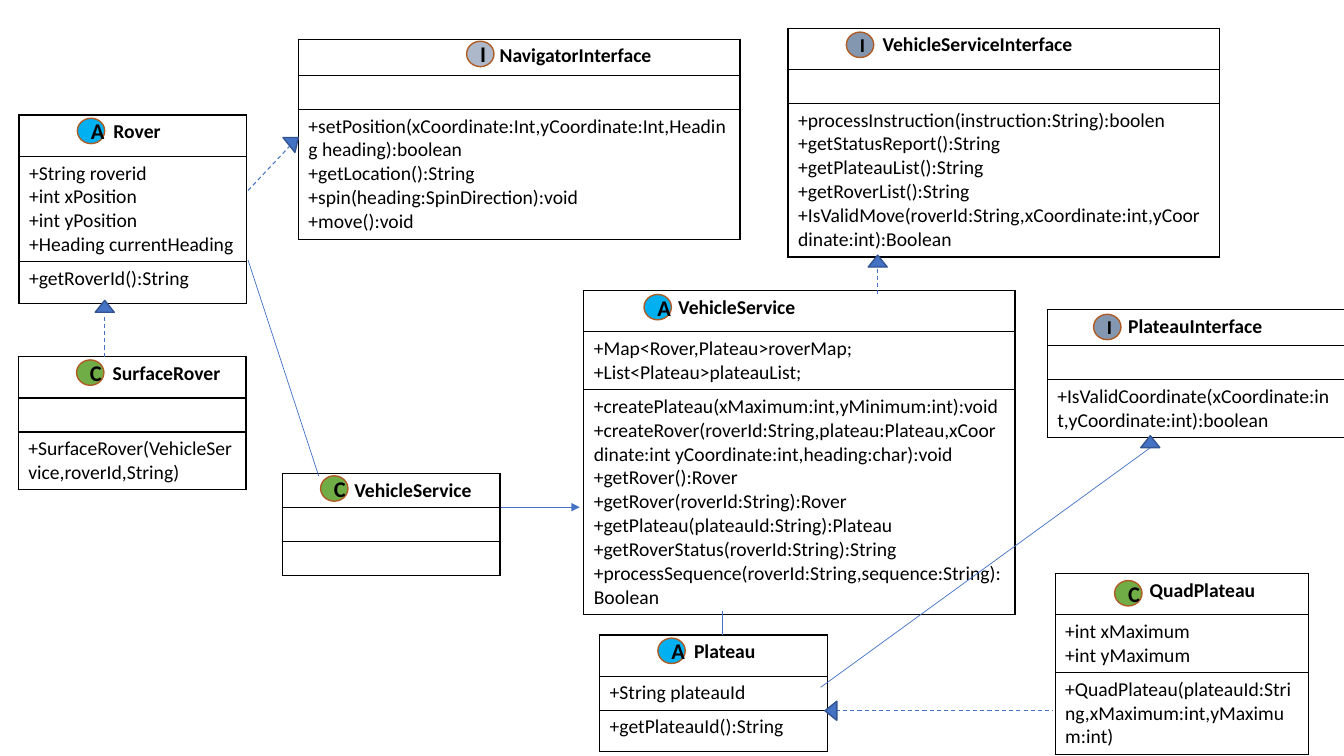
from dataclasses import dataclass

from lxml.etree import SubElement
from pptx import Presentation
from pptx.dml.color import RGBColor
from pptx.enum.dml import MSO_LINE
from pptx.enum.shapes import MSO_CONNECTOR, MSO_SHAPE
from pptx.enum.text import MSO_ANCHOR, PP_ALIGN
from pptx.oxml.ns import qn
from pptx.util import Cm, Pt


@dataclass(frozen=True)
class Theme:
    font: str = "Calibri"
    ink: str = "000000"
    abstract: str = "00B0F0"
    concrete: str = "70AD47"
    interface: str = "8497B0"
    navigator: str = "ADB9CA"
    badge_edge: str = "AF5C24"
    relation: str = "4472C4"
    arrow_edge: str = "325491"
    body_size: int = 14
    badge_size: int = 16


THEME = Theme()
BADGE_WIDTH, BADGE_HEIGHT = 0.69, 0.64
ARROW_WIDTH, ARROW_HEIGHT = 0.48, 0.3


def write(frame, text, size=THEME.body_size, bold=False, align=PP_ALIGN.LEFT):
    for index, line in enumerate(text.split("\n")):
        paragraph = frame.paragraphs[0] if index == 0 else frame.add_paragraph()
        paragraph.alignment = align
        if not line:
            SubElement(paragraph._p, qn("a:endParaRPr"), sz=str(size * 100))
            continue
        run = paragraph.add_run()
        run.text = line
        run.font.name = THEME.font
        run.font.size = Pt(size)
        run.font.bold = bold
        run.font.color.rgb = RGBColor.from_string(THEME.ink)


def paint(shape, fill, edge):
    shape.shadow.inherit = False
    shape.fill.solid()
    shape.fill.fore_color.rgb = RGBColor.from_string(fill)
    shape.line.color.rgb = RGBColor.from_string(edge)
    shape.line.width = Pt(1)


def outline(cell):
    properties = cell._tc.get_or_add_tcPr()
    for side in ("lnL", "lnR", "lnT", "lnB"):
        border = SubElement(properties, qn(f"a:{side}"), w=str(Pt(1)))
        solid = SubElement(border, qn("a:solidFill"))
        SubElement(solid, qn("a:srgbClr"), val=THEME.ink)
    cell.fill.background()


def class_badge(slide, left, top, letter, color, size):
    badge = slide.shapes.add_shape(
        MSO_SHAPE.FLOWCHART_CONNECTOR,
        Cm(left), Cm(top), Cm(BADGE_WIDTH), Cm(BADGE_HEIGHT))
    paint(badge, color, THEME.badge_edge)
    badge.text_frame.vertical_anchor = MSO_ANCHOR.MIDDLE
    write(badge.text_frame, letter, size=size, bold=True, align=PP_ALIGN.CENTER)


def class_box(slide, box, heights, name, fields, methods, letter, color,
              indent=2.38, badge=(1.47, 0.08), letter_size=THEME.badge_size):
    left, top, width = box
    members = slide.shapes.add_table(
        3, 1, Cm(left), Cm(top), Cm(width), Cm(sum(heights))).table
    members.first_row = members.horz_banding = False
    members.columns[0].width = Cm(width)
    for index, (height, text) in enumerate(zip(heights, (name, fields, methods))):
        members.rows[index].height = Cm(height)
        compartment = members.cell(index, 0)
        if index == 0:
            compartment.margin_left = Cm(indent)
            compartment.margin_right = Cm(0)
        write(compartment.text_frame, text, bold=index == 0)
        outline(compartment)
    class_badge(slide, left + badge[0], top + badge[1], letter, color, letter_size)


def relation(slide, start, end, dashed=False, pointed=False, head=None, turn=0):
    link = slide.shapes.add_connector(
        MSO_CONNECTOR.STRAIGHT, *(Cm(value) for value in (*start, *end)))
    link.line.color.rgb = RGBColor.from_string(THEME.relation)
    link.line.width = Pt(0.75 if dashed else 0.5)
    if dashed:
        link.line.dash_style = MSO_LINE.DASH
    if pointed:
        SubElement(link.line._get_or_add_ln(), qn("a:tailEnd"), type="triangle")
    SubElement(link._element.spPr, qn("a:effectLst"))
    if head:
        arrow = slide.shapes.add_shape(
            MSO_SHAPE.ISOSCELES_TRIANGLE,
            Cm(head[0] - ARROW_WIDTH / 2), Cm(head[1] - ARROW_HEIGHT / 2),
            Cm(ARROW_WIDTH), Cm(ARROW_HEIGHT))
        arrow.rotation = turn
        paint(arrow, THEME.relation, THEME.arrow_edge)


def rover_classes(slide):
    class_box(slide, (7.52, 0.99, 11.13), (0.91, 0.85, 3.27), "NavigatorInterface", "",
              "+setPosition(xCoordinate:Int,yCoordinate:Int,Heading heading):boolean\n"
              "+getLocation():String\n+spin(heading:SpinDirection):void\n+move():void",
              "I", THEME.navigator, indent=5.07, badge=(4.24, 0.05))
    class_box(slide, (0.48, 2.9, 5.74), (1.04, 2.65, 1.04), "Rover",
              "+String roverid\n+int xPosition\n+int yPosition\n+Heading currentHeading",
              "+getRoverId():String", "A", THEME.abstract)
    class_box(slide, (0.46, 8.99, 5.74), (1.04, 0.85, 1.45), "SurfaceRover", "",
              "+SurfaceRover(VehicleService,roverId,String)", "C", THEME.concrete)


def service_classes(slide):
    class_box(slide, (7.11, 11.94, 5.49), (0.85, 0.85, 0.85), "VehicleService", "", "",
              "C", THEME.concrete, indent=1.82, badge=(0.97, 0.05))
    class_box(slide, (14.71, 7.32, 10.87), (1.04, 1.46, 5.66), "VehicleService",
              "+Map<Rover,Plateau>roverMap;\n+List<Plateau>plateauList;",
              "+createPlateau(xMaximum:int,yMinimum:int):void\n"
              "+createRover(roverId:String,plateau:Plateau,xCoordinate:int "
              "yCoordinate:int,heading:char):void\n"
              "+getRover():Rover\n+getRover(roverId:String):Rover\n"
              "+getPlateau(plateauId:String):Plateau\n"
              "+getRoverStatus(roverId:String):String\n"
              "+processSequence(roverId:String,sequence:String):Boolean",
              "A", THEME.abstract, badge=(1.52, 0.1))
    class_box(slide, (19.86, 0.71, 10.87), (1.04, 0.85, 3.87), "VehicleServiceInterface", "",
              "+processInstruction(instruction:String):boolen\n"
              "+getStatusReport():String\n+getPlateauList():String\n"
              "+getRoverList():String\n"
              "+IsValidMove(roverId:String,xCoordinate:int,yCoordinate:int):Boolean",
              "I", THEME.interface, badge=(1.47, 0.1), letter_size=THEME.body_size)


def plateau_classes(slide):
    class_box(slide, (15.11, 16, 5.74), (1.04, 0.85, 1.04), "Plateau",
              "+String plateauId", "+getPlateauId():String", "A", THEME.abstract)
    class_box(slide, (26.59, 14.45, 6.38), (1.04, 1.45, 2.06), "QuadPlateau",
              "+int xMaximum\n+int yMaximum",
              "+QuadPlateau(plateauId:String,xMaximum:int,yMaximum:int)",
              "C", THEME.concrete, badge=(1.5, 0.18))
    class_box(slide, (26.39, 7.8, 7.49), (0.91, 0.85, 1.45), "PlateauInterface", "",
              "+IsValidCoordinate(xCoordinate:int,yCoordinate:int):boolean",
              "I", THEME.interface, indent=2.04, badge=(1.17, 0.12),
              letter_size=THEME.body_size)


def relations(slide):
    relation(slide, (2.64, 8.99), (2.64, 7.59), dashed=True, head=(2.64, 7.72))
    relation(slide, (6.25, 6.55), (8.03, 11.99))
    relation(slide, (12.62, 12.78), (14.61, 12.78), pointed=True)
    relation(slide, (6.25, 4.8), (7.52, 3.45), dashed=True, head=(7.4, 3.56), turn=51.1)
    relation(slide, (22.12, 7.42), (22.12, 6.58), dashed=True, head=(22.12, 6.58))
    relation(slide, (18.21, 16), (18.21, 15.39))
    relation(slide, (20.88, 17.91), (26.54, 17.91), dashed=True, head=(20.94, 17.91), turn=270)
    relation(slide, (20.68, 17.32), (29.06, 11.23), head=(28.99, 11.13))


deck = Presentation()
deck.slide_width, deck.slide_height = Cm(33.87), Cm(19.05)
class_diagram = deck.slides.add_slide(deck.slide_layouts[6])
for draw_region in (rover_classes, service_classes, plateau_classes, relations):
    draw_region(class_diagram)
deck.save("out.pptx")
